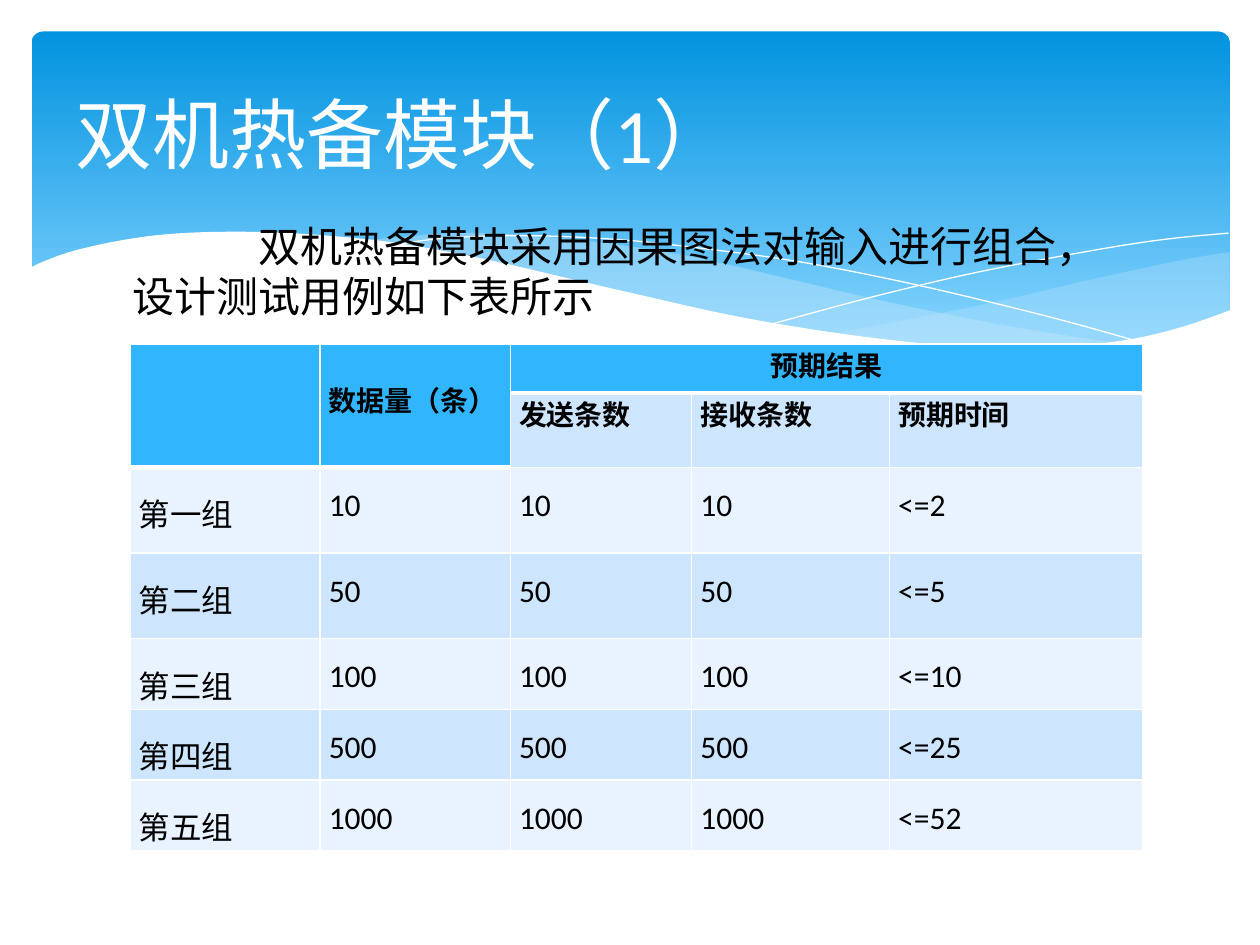
from lxml import etree
from pptx import Presentation
from pptx.dml.color import RGBColor
from pptx.enum.shapes import MSO_SHAPE
from pptx.enum.text import MSO_ANCHOR, PP_ALIGN
from pptx.oxml.ns import qn
from pptx.util import Inches, Pt

LEFT, CENTER, JUSTIFY = PP_ALIGN.LEFT, PP_ALIGN.CENTER, PP_ALIGN.JUSTIFY
TOP, MIDDLE = MSO_ANCHOR.TOP, MSO_ANCHOR.MIDDLE
ROUNDED = MSO_SHAPE.ROUNDED_RECTANGLE

THEME = {
    "font": "Calibri",
    "white": "FFFFFF", "black": "000000",
    "sky_top": "0293E0", "sky_bottom": "83D3FE", "mist": "C6E7FC",
    "header": "31B6FD", "bands": ("E8F3FF", "CEE5FE"),
    "title_size": 44, "body_size": 24, "head_size": 16, "cell_size": 18,
}

TITLE = "双机热备模块（1）"
BODY = "双机热备模块采用因果图法对输入进行组合，设计测试用例如下表所示"
AMOUNT_HEAD, RESULT_HEAD = "数据量（条）", "预期结果"
RESULT_COLUMNS = ["发送条数", "接收条数", "预期时间"]
GROUPS = [
    ("第一组", "10", "<=2"),
    ("第二组", "50", "<=5"),
    ("第三组", "100", "<=10"),
    ("第四组", "500", "<=25"),
    ("第五组", "1000", "<=52"),
]
COLUMN_WIDTHS = [1.51, 1.51, 1.44, 1.57, 2.01]
ROW_HEIGHTS = [0.39, 0.59, 0.68, 0.68, 0.56, 0.56, 0.56]

WAVES = [
    {"alpha": 29, "fill": "mist", "edges": [
        [(9.76, 2), (9.35, 2.07), (8.61, 2.23), (7.79, 2.42), (6.61, 2.65)],
        [(6.61, 2.65), (7.19, 2.72), (7.69, 2.77), (8.14, 2.78), (8.63, 2.75),
         (9.05, 2.69), (9.42, 2.59), (9.76, 2.47)]]},
    {"alpha": 40, "fill": "mist", "edges": [
        [(8.93, 2.73), (8.07, 2.6), (7.06, 2.4), (6.29, 2.22), (5.55, 2.05),
         (4.89, 1.94), (4.2, 1.87), (3.61, 1.85), (2.86, 1.91)],
        [(2.86, 1.91), (3.62, 2.03), (4.49, 2.22), (5.3, 2.4), (6.01, 2.55),
         (6.65, 2.66), (7.22, 2.74), (7.85, 2.78), (8.38, 2.78), (8.93, 2.73)]]},
    {"line": "white", "edges": [
        [(3.09, 1.95), (3.53, 1.89), (4.16, 1.87), (4.89, 1.9), (5.56, 1.97),
         (6.36, 2.08), (7.27, 2.26), (8.31, 2.51), (9.07, 2.72)]]},
    {"line": "white", "edges": [
        [(6.13, 2.57), (6.95, 2.35), (7.76, 2.16), (8.66, 1.99), (9.24, 1.9), (9.75, 1.85)]]},
    {"fill": "white", "edges": [
        [(9.77, 2.46), (9.4, 2.59), (8.99, 2.69), (8.5, 2.75), (8.09, 2.77), (7.61, 2.75),
         (7.08, 2.7), (6.48, 2.62), (5.79, 2.5), (5.03, 2.33), (4.47, 2.2), (3.91, 2.07),
         (3.4, 1.97), (2.92, 1.9), (2.3, 1.85), (1.77, 1.84), (1.32, 1.86), (0.95, 1.91),
         (0.59, 1.99), (0.36, 2.07), (0.23, 2.13)],
        [(0.23, 3.29), (9.77, 3.29)]]},
]


def color(name):
    return RGBColor.from_string(THEME.get(name, name))


def smooth(knots, steps=5):
    if len(knots) < 3:
        return knots
    padded = [knots[0], *knots, knots[-1]]
    points = [knots[0]]
    for before, start, end, after in zip(padded, padded[1:], padded[2:], padded[3:]):
        for step in range(1, steps + 1):
            t = step / steps
            points.append(tuple(
                (2 * b + (c - a) * t + (2 * a - 5 * b + 4 * c - d) * t ** 2
                 + (3 * b - a - 3 * c + d) * t ** 3) / 2
                for a, b, c, d in zip(before, start, end, after)))
    return points


def add_wave(page, edges, fill=None, line=None, alpha=None):
    points = [(Inches(x), Inches(y)) for edge in edges for x, y in smooth(edge)]
    builder = page.shapes.build_freeform(*points[0], scale=1.0)
    builder.add_line_segments(points[1:], close=bool(fill))
    wave = builder.convert_to_shape()
    wave.shadow.inherit = False
    if fill:
        wave.fill.solid()
        wave.fill.fore_color.rgb = color(fill)
        wave.line.fill.background()
    else:
        wave.fill.background()
        wave.line.color.rgb = color(line)
        wave.line.width = Pt(0)
    if alpha:
        tint = wave.element.spPr.find(qn("a:solidFill"))[0]
        etree.SubElement(tint, qn("a:alpha"), val=str(alpha * 1000))


def add_sky(page):
    sky = page.shapes.add_shape(ROUNDED, Inches(0.25), Inches(0.25), Inches(9.51), Inches(2.7))
    sky.adjustments[0] = 0.034
    sky.shadow.inherit = False
    sky.line.fill.background()
    sky.fill.gradient()
    sky.fill.gradient_angle = 270
    for stop, name, position in zip(sky.fill.gradient_stops, ("sky_top", "sky_bottom"), (0, 0.9)):
        stop.color.rgb = color(name)
        stop.position = position


def write(frame, text, size, ink="black", bold=False, align=LEFT, spacing=None, before=None, indent=None):
    para = frame.paragraphs[0]
    para.alignment = align
    if spacing:
        para.line_spacing = spacing
    if before:
        para.space_before = Pt(before)
    if indent:
        para._p.get_or_add_pPr().set("indent", str(Inches(indent)))
    span = para.add_run()
    span.text = text
    span.font.name = THEME["font"]
    span.font.size = Pt(THEME[size])
    span.font.bold = bold
    span.font.color.rgb = color(ink)


def add_text(page, place, text, size, anchor=TOP, **style):
    box = page.shapes.add_textbox(*map(Inches, place))
    box.text_frame.word_wrap = True
    box.text_frame.vertical_anchor = anchor
    write(box.text_frame, text, size, **style)


def dress_cell(cell, fill, bottom):
    cell.margin_left = cell.margin_right = Inches(0.07)
    cell.margin_top = cell.margin_bottom = 0
    properties = cell._tc.get_or_add_tcPr()
    for side, width in (("L", 1), ("R", 1), ("T", 1), ("B", bottom)):
        border = etree.SubElement(properties, qn(f"a:ln{side}"), w=str(Pt(width)))
        paint = etree.SubElement(border, qn("a:solidFill"))
        etree.SubElement(paint, qn("a:srgbClr"), val=THEME["white"])
    cell.fill.solid()
    cell.fill.fore_color.rgb = color(fill)


def add_results(page):
    frame = page.shapes.add_table(
        len(ROW_HEIGHTS), len(COLUMN_WIDTHS), Inches(1.03), Inches(2.73),
        Inches(sum(COLUMN_WIDTHS)), Inches(sum(ROW_HEIGHTS)))
    table = frame.table
    table.first_row = table.horz_banding = False
    for column, width in zip(table.columns, COLUMN_WIDTHS):
        column.width = Inches(width)
    for row, height in zip(table.rows, ROW_HEIGHTS):
        row.height = Inches(height)
    for r in range(len(ROW_HEIGHTS)):
        for c in range(len(COLUMN_WIDTHS)):
            header = r == 0 or (r == 1 and c < 2)
            dress_cell(table.cell(r, c), "header" if header else THEME["bands"][r % 2], 3 if header else 1)
    for start, end in (((0, 0), (1, 0)), ((0, 1), (1, 1)), ((0, 2), (0, 4))):
        table.cell(*start).merge(table.cell(*end))

    amount = table.cell(0, 1)
    amount.margin_top = Inches(0.28)
    write(amount.text_frame, AMOUNT_HEAD, "head_size", bold=True, align=JUSTIFY)
    write(table.cell(0, 2).text_frame, RESULT_HEAD, "head_size", bold=True, align=CENTER)
    for c, text in enumerate(RESULT_COLUMNS, 2):
        write(table.cell(1, c).text_frame, text, "head_size", bold=True, align=JUSTIFY)
    for r, (group, count, limit) in enumerate(GROUPS, 2):
        for c, text in enumerate((group, count, count, count, limit)):
            write(table.cell(r, c).text_frame, text, "cell_size", align=JUSTIFY, spacing=1.5)


def main():
    deck = Presentation()
    deck.slide_width, deck.slide_height = Inches(10), Inches(7.5)
    page = deck.slides.add_slide(deck.slide_layouts[6])
    add_sky(page)
    for wave in WAVES:
        add_wave(page, **wave)
    add_text(page, (0.5, 0.37, 9, 1.37), TITLE, "title_size", anchor=MIDDLE, ink="white")
    add_results(page)
    add_text(page, (0.95, 1.7, 8.1, 1.34), BODY, "body_size", before=4.8, indent=1)
    deck.save("out.pptx")


if __name__ == "__main__":
    main()
